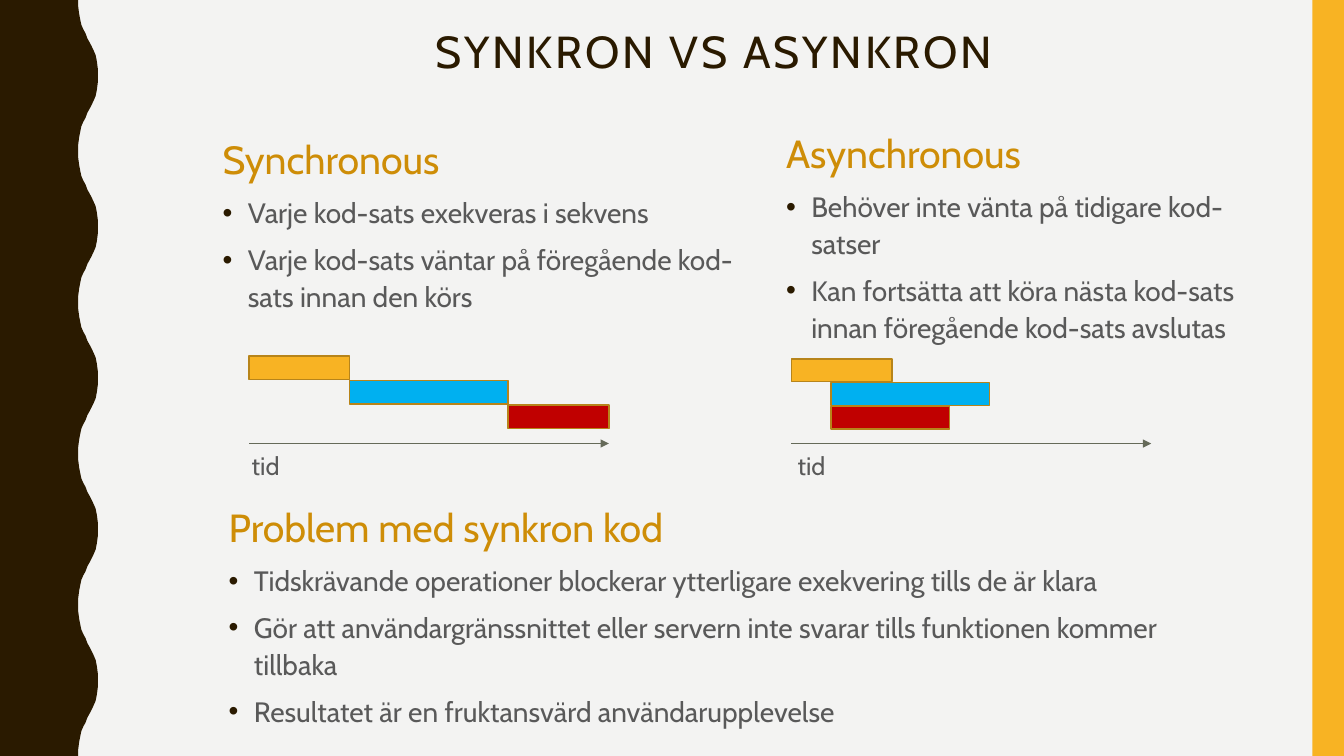
from dataclasses import dataclass

from lxml import etree
from pptx import Presentation
from pptx.dml.color import RGBColor
from pptx.enum.shapes import MSO_CONNECTOR, MSO_SHAPE
from pptx.enum.text import MSO_ANCHOR, PP_ALIGN
from pptx.oxml.ns import qn
from pptx.util import Inches, Pt


@dataclass(frozen=True)
class Theme:
    font: str = "Cabin"
    back: str = "F3F3F2"
    dark: str = "2A1A00"
    gold: str = "F8B323"
    blue: str = "00B0F0"
    red: str = "C00000"
    border: str = "B7841A"
    heading: str = "CE8D07"
    body: str = "595959"
    axis: str = "656A59"
    title_size: int = 32
    heading_size: int = 28
    body_size: int = 20
    label_size: int = 18


T = Theme()
WIDTH, HEIGHT = Inches(13.333), Inches(7.5)
CRESTS = 5
# Half a wave: share of its height, share of its depth
HALF_WAVE = [(0, 0), (.09, 0), (.19, .05), (.27, .11), (.33, .16), (.39, .26),
             (.44, .37), (.51, .47), (.56, .58), (.61, .68), (.67, .79),
             (.73, .89), (.81, .95), (.91, 1), (1, 1)]


def box(x, y, w, h):
    """Turn percentages of the slide into a left, top, width, height box."""
    return (int(WIDTH * x / 100), int(HEIGHT * y / 100),
            int(WIDTH * w / 100), int(HEIGHT * h / 100))


def rgb(color):
    return RGBColor.from_string(color)


def paint(s, fill, line=None):
    s.shadow.inherit = False
    s.fill.solid()
    s.fill.fore_color.rgb = rgb(fill)
    if line:
        s.line.color.rgb = rgb(line)
        s.line.width = Pt(1)
    else:
        s.line.fill.background()


def add_rect(slide, area, fill, line=None):
    paint(slide.shapes.add_shape(MSO_SHAPE.RECTANGLE, *area), fill, line)


def add_frame(slide, area):
    tf = slide.shapes.add_textbox(*area).text_frame
    tf.word_wrap = True
    tf.vertical_anchor = MSO_ANCHOR.TOP
    return tf


def write(p, text, size, color, align=PP_ALIGN.LEFT, leading=1.0, before=0,
          tracking=0, bullet=False):
    p.alignment, p.line_spacing, p.space_before = align, leading, Pt(before)
    r = p.add_run()
    r.text = text
    r.font.name, r.font.size = T.font, Pt(size)
    r.font.color.rgb = rgb(color)
    if tracking:
        r.font._element.set("spc", str(tracking * 100))
    if bullet:
        pPr = p._p.get_or_add_pPr()
        pPr.set("marL", str(Inches(.25)))
        pPr.set("indent", str(-Inches(.25)))
        bu_color = etree.SubElement(pPr, qn("a:buClr"))
        etree.SubElement(bu_color, qn("a:srgbClr"), val=T.dark)
        etree.SubElement(pPr, qn("a:buFont"), typeface="Arial")
        etree.SubElement(pPr, qn("a:buChar"), char="•")


def add_wave(slide, area):
    x, y, w, h = area
    half, depth = h / CRESTS / 2, w * .2
    trough = x + w - depth
    edge = []
    for crest in range(CRESTS):
        top = y + 2 * half * crest
        edge += [(trough + depth * dx, top + half * dy) for dy, dx in HALF_WAVE]
        edge += [(trough + depth * dx, top + half * (2 - dy))
                 for dy, dx in reversed(HALF_WAVE)]
    builder = slide.shapes.build_freeform(x, y)
    builder.add_line_segments(edge + [(x, y + h)], close=True)
    paint(builder.convert_to_shape(), T.dark)


def add_title(slide, area, text):
    write(add_frame(slide, area).paragraphs[0], text, T.title_size, T.dark,
          align=PP_ALIGN.CENTER, leading=.9, tracking=2)


def add_section(slide, area, heading, points):
    tf = add_frame(slide, area)
    write(tf.paragraphs[0], heading, T.heading_size, T.heading,
          leading=1.1, before=7)
    for point in points:
        write(tf.add_paragraph(), point, T.body_size, T.body,
              leading=1.1, before=7, bullet=True)


def add_timeline(slide, area, spans, label_shift):
    """Stack one bar per start-end share above a time arrow at the box's foot."""
    x, y, w, h = area
    pitch = h * .28
    for row, ((start, end), color) in enumerate(zip(spans, (T.gold, T.blue, T.red))):
        add_rect(slide, (int(x + w * start), int(y + pitch * row),
                         int(w * (end - start)), int(pitch * .96)), color, T.border)

    arrow = slide.shapes.add_connector(MSO_CONNECTOR.STRAIGHT, x, y + h, x + w, y + h)
    arrow.line.color.rgb = rgb(T.axis)
    arrow.line.width = Pt(.5)
    etree.SubElement(arrow.line._get_or_add_ln(), qn("a:tailEnd"), type="triangle")
    etree.SubElement(arrow._element.spPr, qn("a:effectLst"))

    label = (int(x + w * label_shift), int(y + h * 1.02), int(w * .46), int(h * .46))
    write(add_frame(slide, label).paragraphs[0], "tid", T.label_size, T.body)


def main():
    prs = Presentation()
    prs.slide_width, prs.slide_height = WIDTH, HEIGHT
    slide = prs.slides.add_slide(prs.slide_layouts[6])
    slide.background.fill.solid()
    slide.background.fill.fore_color.rgb = rgb(T.back)

    add_wave(slide, box(0, 0, 7.28, 100))
    add_rect(slide, box(97.65, 0, 2.35, 100), T.gold)
    add_title(slide, box(8.48, 3.33, 89.33, 9.87), "SYNKRON VS ASYNKRON")

    add_section(slide, box(15.83, 16.67, 42, 34.13), "Synchronous", [
        "Varje kod-sats exekveras i sekvens",
        "Varje kod-sats väntar på föregående kod-sats innan den körs"])
    add_section(slide, box(57.75, 15.87, 38.18, 31.2), "Asynchronous", [
        "Behöver inte vänta på tidigare kod-satser",
        "Kan fortsätta att köra nästa kod-sats innan föregående kod-sats avslutas"])
    add_section(slide, box(16.28, 65.33, 76.8, 34.13), "Problem med synkron kod", [
        "Tidskrävande operationer blockerar ytterligare exekvering tills de är klara",
        "Gör att användargränssnittet eller servern inte svarar tills funktionen "
        "kommer tillbaka",
        "Resultatet är en fruktansvärd användarupplevelse"])

    add_timeline(slide, box(18.53, 47.07, 26.78, 11.6),
                 [(0, .28), (.28, .72), (.72, 1)], label_shift=-.02)
    add_timeline(slide, box(58.88, 47.47, 26.78, 11.2),
                 [(0, .28), (.11, .55), (.11, .44)], label_shift=-.01)
    prs.save("out.pptx")


if __name__ == "__main__":
    main()
